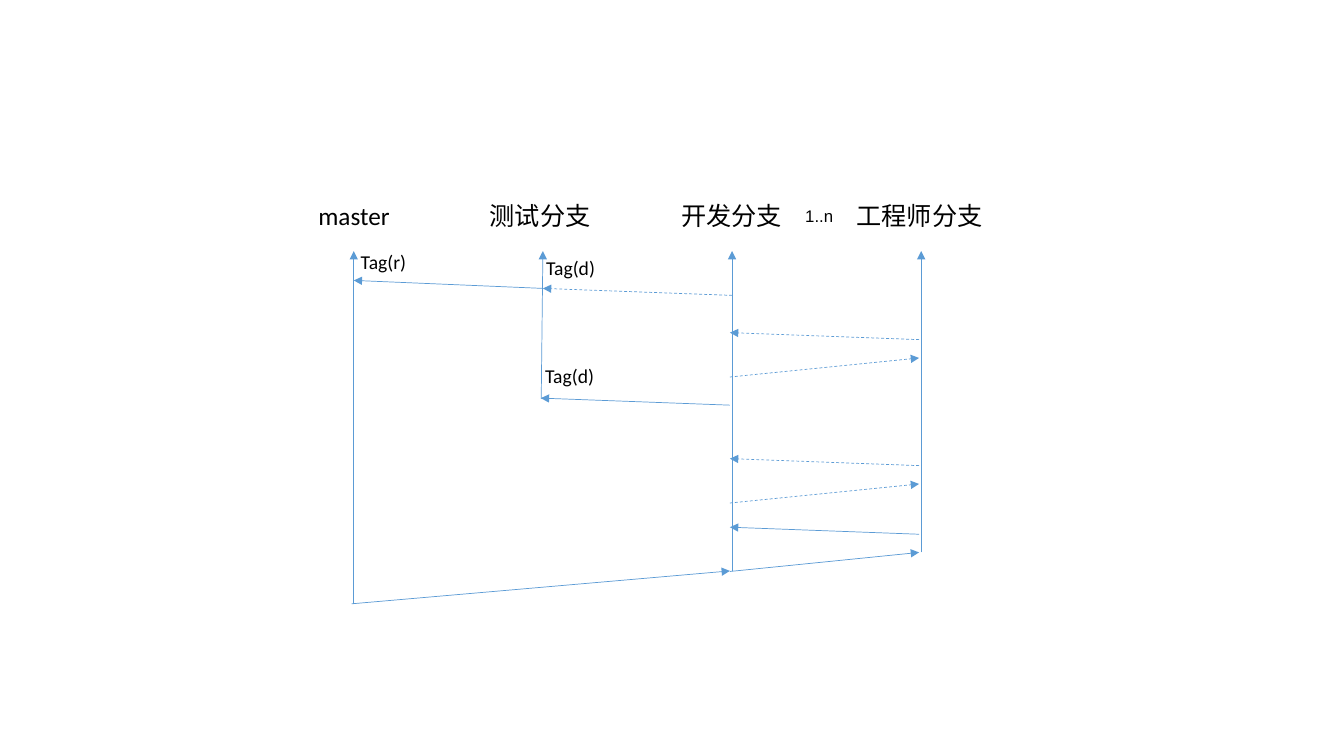
import dataclasses

import pptx
import pptx.dml.color
import pptx.enum.dml
import pptx.enum.shapes
import pptx.enum.text
import pptx.oxml
import pptx.oxml.ns
import pptx.util


@dataclasses.dataclass(frozen=True)
class Theme:
    line_color: pptx.dml.color.RGBColor = pptx.dml.color.RGBColor(0x5B, 0x9B, 0xD5)
    text_color: pptx.dml.color.RGBColor = pptx.dml.color.RGBColor(0, 0, 0)
    line_width: float = 0.5
    branch_size: int = 18
    tag_size: int = 14
    count_size: int = 12
    font: str = "Calibri"
    count_font: str = "Arial"


THEME = Theme()
LANE_TOP = 179.3
MASTER, TEST, DEVELOP, ENGINEER = [252.7 + 135.1 * lane for lane in range(4)]
MESSAGE_OFFSET = -1.5
BRANCH_RISE = 13.6
MERGE_RISE = 5
SYNC_GAP = 90


def add_arrow(slide, start, end, dashed=False):
    points = [pptx.util.Pt(length) for length in (*start, *end)]
    arrow = slide.shapes.add_connector(
        pptx.enum.shapes.MSO_CONNECTOR.STRAIGHT, *points
    )
    arrow.line.color.rgb = THEME.line_color
    arrow.line.width = pptx.util.Pt(THEME.line_width)
    if dashed:
        arrow.line.dash_style = pptx.enum.dml.MSO_LINE.DASH
    head = pptx.oxml.parse_xml(
        f'<a:tailEnd {pptx.oxml.ns.nsdecls("a")} type="triangle"/>'
    )
    arrow.line._get_or_add_ln().append(head)
    effects = pptx.oxml.parse_xml(f'<a:effectLst {pptx.oxml.ns.nsdecls("a")}/>')
    arrow._element.spPr.append(effects)


def add_message(slide, source, target, start_y, rise, dashed=False):
    add_arrow(
        slide,
        (source + MESSAGE_OFFSET, start_y),
        (target + MESSAGE_OFFSET, start_y - rise),
        dashed,
    )


def add_label(slide, text, left, top, width, height, size, font=THEME.font):
    box = slide.shapes.add_textbox(
        *[pptx.util.Pt(length) for length in (left, top, width, height)]
    )
    frame = box.text_frame
    frame.text = text
    frame.word_wrap = False
    frame.auto_size = pptx.enum.text.MSO_AUTO_SIZE.SHAPE_TO_FIT_TEXT
    run_font = frame.paragraphs[0].runs[0].font
    run_font.size = pptx.util.Pt(size)
    run_font.name = font
    run_font.color.rgb = THEME.text_color


def add_branches(slide):
    for text, left, width in (
        ("master", 220.3, 66.2),
        ("测试分支", 342.7, 87.1),
        ("开发分支", 479.5, 87.1),
        ("工程师分支", 604.8, 105.1),
    ):
        add_label(slide, text, left, 139.7, width, 29, THEME.branch_size)
    add_label(
        slide, "1..n", 568.1, 143.3, 34.6, 21.8, THEME.count_size, THEME.count_font
    )
    for bottom_x, top_x, bottom in (
        (MASTER, MASTER, 431.3),
        (TEST - 1.2, TEST, 285),
        (DEVELOP, DEVELOP, 408.2),
        (ENGINEER, ENGINEER, 394.6),
    ):
        add_arrow(slide, (bottom_x, bottom), (top_x, LANE_TOP))


def add_messages(slide):
    add_message(slide, MASTER, DEVELOP, 431.3, 23.5)
    add_message(slide, DEVELOP, ENGINEER, 408.2, BRANCH_RISE)
    add_message(slide, ENGINEER, DEVELOP, 381.6, MERGE_RISE)
    for shift in (0, SYNC_GAP):
        add_message(slide, DEVELOP, ENGINEER, 359.3 - shift, BRANCH_RISE, True)
        add_message(slide, ENGINEER, DEVELOP, 332.6 - shift, MERGE_RISE, True)
    add_message(slide, DEVELOP, TEST, 289.4, MERGE_RISE)
    add_arrow(slide, (DEVELOP, 211), (TEST, 206), True)
    add_arrow(slide, (TEST, 206), (MASTER, 200.3))


def add_tags(slide):
    for text, left, top, width in (
        ("Tag(d)", 382.3, 256.3, 49.7),
        ("Tag(d)", 383, 179.3, 49.7),
        ("Tag(r)", 250.6, 175, 47.5),
    ):
        add_label(slide, text, left, top, width, 24.3, THEME.tag_size)


def main():
    presentation = pptx.Presentation()
    presentation.slide_width = pptx.util.Pt(960)
    presentation.slide_height = pptx.util.Pt(540)
    slide = presentation.slides.add_slide(presentation.slide_layouts[6])
    add_branches(slide)
    add_messages(slide)
    add_tags(slide)
    presentation.save("out.pptx")


main()
